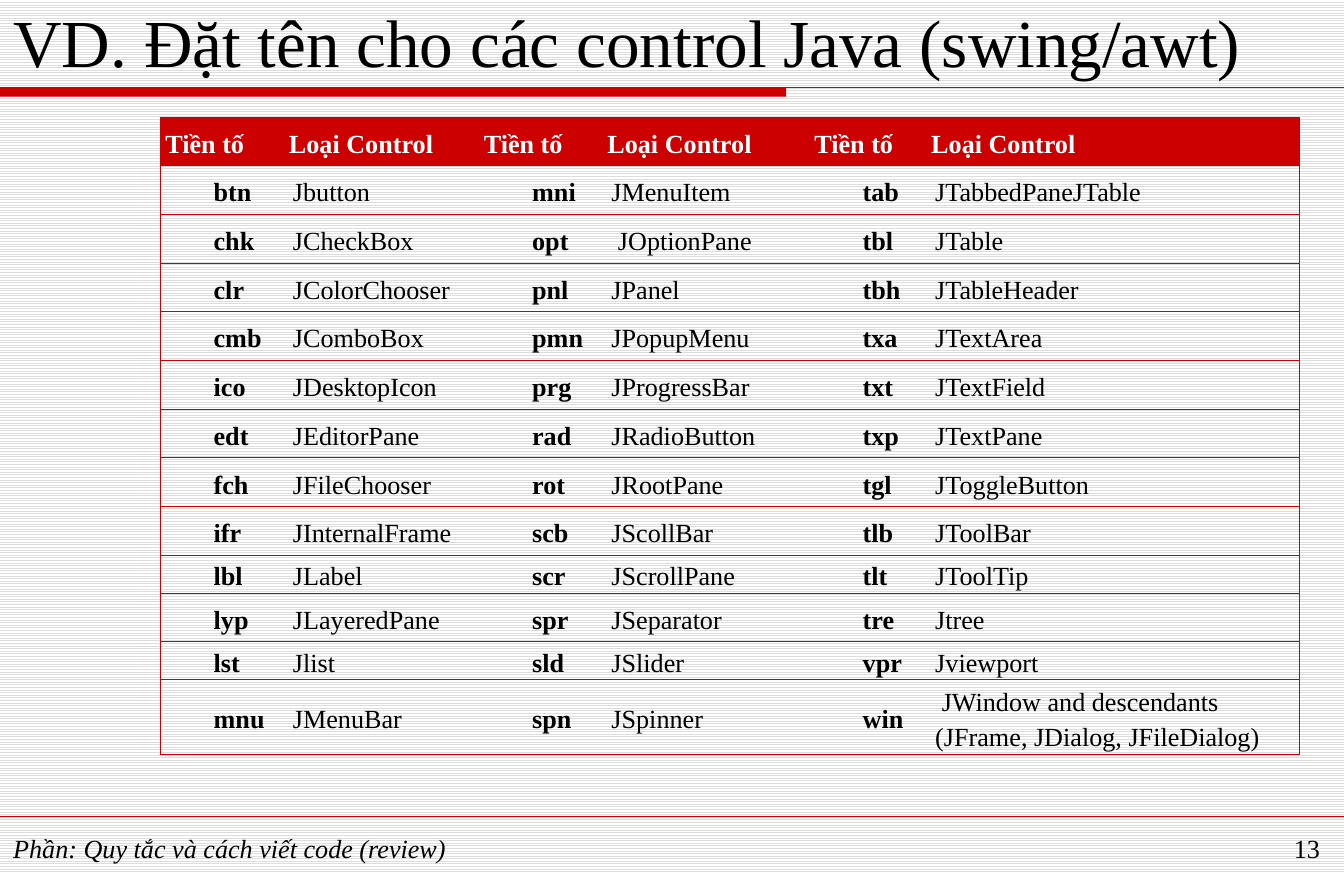
from pptx import Presentation
from pptx.dml.color import RGBColor as RGB
from pptx.enum.dml import MSO_PATTERN
from pptx.enum.shapes import MSO_CONNECTOR as LINK, MSO_SHAPE as SHAPE
from pptx.enum.text import MSO_ANCHOR as ANCHOR, MSO_AUTO_SIZE as AUTO, PP_ALIGN as ALIGN
from pptx.oxml.ns import qn
from pptx.util import Inches, Pt
from lxml.etree import SubElement, Element

HUES = {"red": "CC0000", "black": "000000", "white": "FFFFFF", "stripe": "DDDDDD"}
FONT = "Times New Roman"
ROWS = [
    ["Tiền tố", "Loại Control"] * 3,
    ["btn", "Jbutton", "mni", "JMenuItem", "tab", "JTabbedPaneJTable"],
    ["chk", "JCheckBox", "opt", " JOptionPane", "tbl", "JTable"],
    ["clr", "JColorChooser", "pnl", "JPanel", "tbh", "JTableHeader"],
    ["cmb", "JComboBox", "pmn", "JPopupMenu", "txa", "JTextArea"],
    ["ico", "JDesktopIcon", "prg", "JProgressBar", "txt", "JTextField"],
    ["edt", "JEditorPane", "rad", "JRadioButton", "txp", "JTextPane"],
    ["fch", "JFileChooser", "rot", "JRootPane", "tgl", "JToggleButton"],
    ["ifr", "JInternalFrame", "scb", "JScollBar", "tlb", "JToolBar"],
    ["lbl", "JLabel", "scr", "JScrollPane", "tlt", "JToolTip"],
    ["lyp", "JLayeredPane", "spr", "JSeparator", "tre", "Jtree"],
    ["lst", "Jlist", "sld", "JSlider", "vpr", "Jviewport"],
    ["mnu", "JMenuBar", "spn", "JSpinner", "win",
     " JWindow and descendants (JFrame, JDialog, JFileDialog)"],
]
WIDTHS = [0.92, 1.45, 0.92, 1.54, 0.87, 2.78]
TALL, LOW, LAST = Pt(26.1), Inches(0.24), Inches(0.48)


def write(para, text, size, hue="black", bold=False, slant=False):
    run = para.add_run()
    run.text = text
    font = run.font
    font.name, font.size, font.bold, font.italic = FONT, Pt(size), bold, slant
    font.color.rgb = RGB.from_string(HUES[hue])


def rule(y, width):
    line = slide.shapes.add_connector(LINK.STRAIGHT, 0, y, W, y)
    line.line.color.rgb = RGB.from_string(HUES["red"])
    line.line.width = Pt(width)
    SubElement(line._element.spPr, qn("a:effectLst"))


deck = Presentation()
deck.slide_width, deck.slide_height = Inches(10), Inches(6.5)
W, H = deck.slide_width, deck.slide_height
slide = deck.slides.add_slide(deck.slide_layouts[5])

# Striped background
back = slide.background.fill
back.patterned()
back.pattern = MSO_PATTERN.LIGHT_HORIZONTAL
back.fore_color.rgb = RGB.from_string(HUES["stripe"])
back.back_color.rgb = RGB.from_string(HUES["white"])

# Bar and rules
top, foot = int(H * 0.1), Inches(6.07)
bar = slide.shapes.add_shape(SHAPE.RECTANGLE, 0, top, int(W * 0.585), Inches(0.07))
bar.shadow.inherit = False
bar.fill.solid()
bar.fill.fore_color.rgb = RGB.from_string(HUES["red"])
bar.line.fill.background()
rule(top, 0.75)
rule(foot, 0.25)

# Title
title = slide.shapes.title
title.left, title.top, title.width, title.height = 0, Inches(0.07), W, Inches(0.58)
frame = title.text_frame
frame.auto_size, frame.vertical_anchor = AUTO.NONE, ANCHOR.BOTTOM
frame.paragraphs[0].alignment = ALIGN.LEFT
write(frame.paragraphs[0], "VD. Đặt tên cho các control Java (swing/awt)", 36)

# Footer and page number
for left, width, text, side, slant in [
    (0, 0.817, "Phần: Quy tắc và cách viết code (review)", ALIGN.LEFT, True),
    (0.892, 0.1, "13", ALIGN.RIGHT, False),
]:
    box = slide.shapes.add_textbox(int(W * left), Inches(6.14), int(W * width), Inches(0.3))
    box.text_frame.word_wrap = True
    para = box.text_frame.paragraphs[0]
    para.alignment = side
    write(para, text, 14, slant=slant)

# Table of prefixes and controls
highs = [LOW if r in (9, 11) else TALL for r in range(len(ROWS) - 1)] + [LAST]
grid = slide.shapes.add_table(len(ROWS), len(WIDTHS), Inches(1.19), Inches(0.87),
                              Inches(sum(WIDTHS)), sum(highs)).table
grid.first_row = grid.horz_banding = False
for col, width in zip(grid.columns, WIDTHS):
    col.width = Inches(width)
for r, (row, high) in enumerate(zip(ROWS, highs)):
    grid.rows[r].height = high
    head = r == 0
    for c, text in enumerate(row):
        cell = grid.cell(r, c)
        key = c % 2 == 0
        cell.vertical_anchor = ANCHOR.MIDDLE
        cell.margin_left = cell.margin_right = Inches(0.04 if head else 0.07)
        cell.margin_top = cell.margin_bottom = 0
        if head:
            cell.fill.solid()
            cell.fill.fore_color.rgb = RGB.from_string(HUES["red"])
        else:
            cell.fill.background()
        para = cell.text_frame.paragraphs[0]
        para.line_spacing = 1.2
        if key and not head:
            para._p.get_or_add_pPr().set("indent", str(Inches(0.33)))
        write(para, text, 14, "white" if head else "black", head or key)

        # Red rules between rows and around the table, none between columns
        shown = {"L": c == 0, "R": c == len(row) - 1, "T": True, "B": True}
        for spot, (side, show) in enumerate(shown.items()):
            edge = Element(qn("a:ln" + side), w=str(Pt(0.5)))
            fill = SubElement(edge, qn("a:solidFill" if show else "a:noFill"))
            if show:
                SubElement(fill, qn("a:srgbClr"), val=HUES["red"])
            cell._tc.get_or_add_tcPr().insert(spot, edge)

deck.save("out.pptx")
